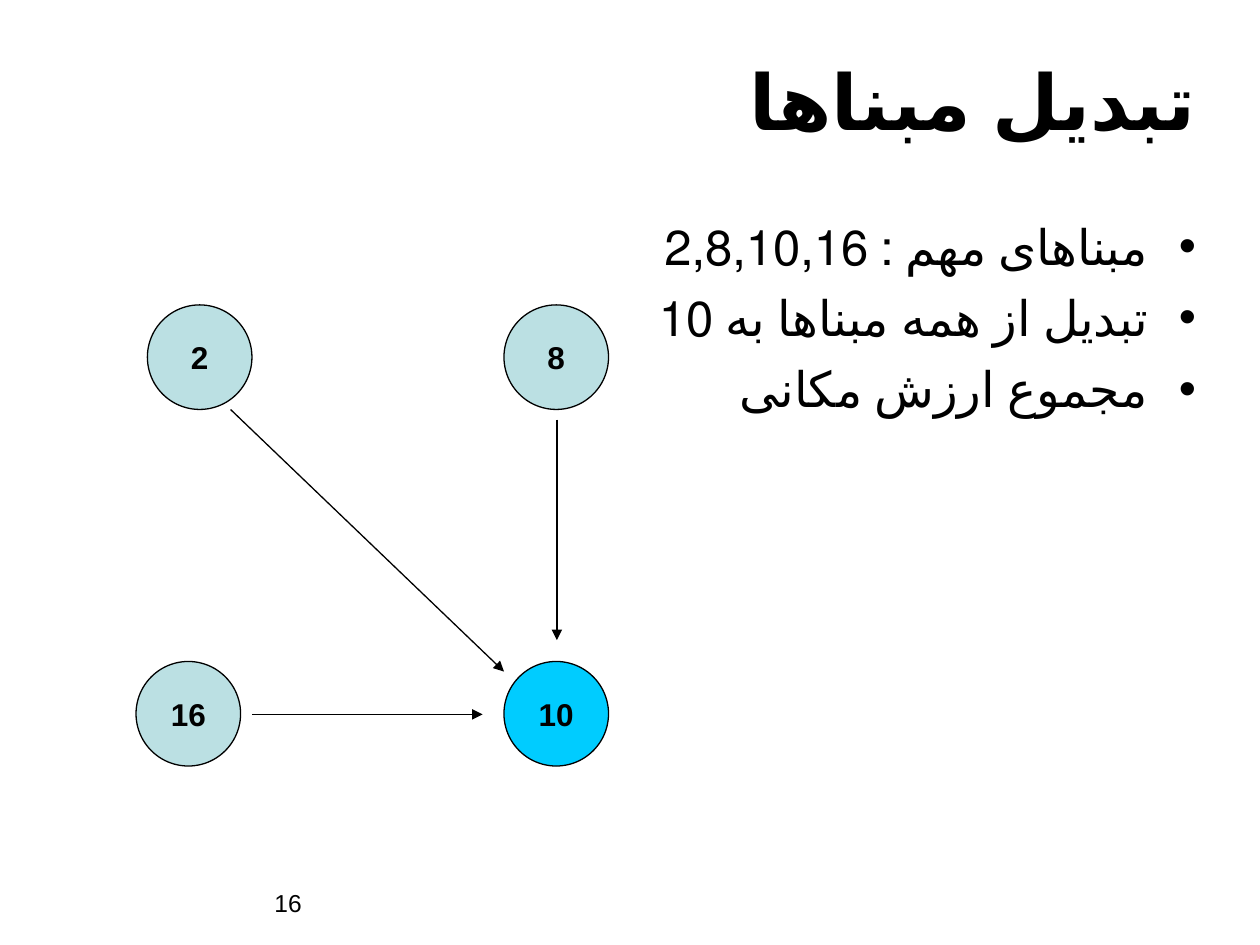
from dataclasses import dataclass

from pptx import Presentation
from pptx.dml.color import RGBColor
from pptx.enum.lang import MSO_LANGUAGE_ID
from pptx.enum.shapes import MSO_CONNECTOR, MSO_SHAPE
from pptx.enum.text import MSO_ANCHOR, MSO_AUTO_SIZE, PP_ALIGN
from pptx.oxml.ns import qn
from pptx.util import Inches, Pt


@dataclass(frozen=True)
class Theme:
    font: str = "Arial"
    ink: RGBColor = RGBColor(0x00, 0x00, 0x00)
    source_base: RGBColor = RGBColor(0xBB, 0xE0, 0xE3)
    target_base: RGBColor = RGBColor(0x00, 0xCC, 0xFF)
    title_size: Pt = Pt(44)
    bullet_size: Pt = Pt(28)
    base_size: Pt = Pt(18)
    number_size: Pt = Pt(14)
    bullet_gap: Pt = Pt(7)
    line_width: Pt = Pt(0.75)


THEME = Theme()
TITLE = "تبدیل مبناها"
BULLETS = ["مبناهای مهم : 2,8,10,16", "تبدیل از همه مبناها به 10", "مجموع ارزش مکانی"]
PAGE_NUMBER = "16"

LEFT, WIDTH = 1.92, 7.67
DIAMETER = 0.83
TOP_ROW, BOTTOM_ROW, RIGHT_COLUMN = 2.42, 5.25, 4
BASES = [
    ("2", 1.17, TOP_ROW, THEME.source_base),
    ("8", RIGHT_COLUMN, TOP_ROW, THEME.source_base),
    ("10", RIGHT_COLUMN, BOTTOM_ROW, THEME.target_base),
    ("16", 1.08, BOTTOM_ROW, THEME.source_base),
]
CONVERSIONS = [
    ((4.42, 3.33), (4.42, 5.08)),
    ((1.83, 3.25), (4, 5.33)),
    ((2, 5.67), (3.83, 5.67)),
]


def apply(target, values):
    for name, value in values.items():
        setattr(target, name, value)


def add_run(paragraph, text, size, bold=False, language=MSO_LANGUAGE_ID.ENGLISH_US):
    run = paragraph.add_run()
    run.text = text
    apply(run.font, {"name": THEME.font, "size": size, "bold": bold,
                     "language_id": language})
    run.font.color.rgb = THEME.ink


def add_persian(paragraph, text, size, bold=False):
    paragraph.alignment = PP_ALIGN.RIGHT
    paragraph._p.get_or_add_pPr().set("rtl", "1")
    add_run(paragraph, text, size, bold, MSO_LANGUAGE_ID.FARSI)


def add_bullet(paragraph):
    properties = paragraph._p.get_or_add_pPr()
    indent = Inches(0.38)
    properties.set("marL", str(indent))
    properties.set("indent", str(-indent))
    for tag, name, value in (("a:buFont", "typeface", THEME.font), ("a:buChar", "char", "•")):
        properties.append(properties.makeelement(qn(tag), {name: value}))


def set_title(slide):
    title = slide.shapes.title
    apply(title, {"left": Inches(LEFT), "top": Inches(0.33),
                  "width": Inches(WIDTH), "height": Inches(0.92)})
    apply(title.text_frame, {"vertical_anchor": MSO_ANCHOR.MIDDLE, "word_wrap": True,
                             "auto_size": MSO_AUTO_SIZE.NONE})
    add_persian(title.text_frame.paragraphs[0], TITLE, THEME.title_size, bold=True)


def add_text_frame(slide, left, top, width, height):
    box = slide.shapes.add_textbox(Inches(left), Inches(top), Inches(width), Inches(height))
    box.text_frame.word_wrap = True
    return box.text_frame


def add_bullets(slide):
    frame = add_text_frame(slide, LEFT, 1.67, WIDTH, 5.33)
    for index, text in enumerate(BULLETS):
        paragraph = frame.add_paragraph() if index else frame.paragraphs[0]
        add_bullet(paragraph)
        if index:
            paragraph.space_before = THEME.bullet_gap
        add_persian(paragraph, text, THEME.bullet_size)


def add_base(slide, label, left, top, color):
    circle = slide.shapes.add_shape(MSO_SHAPE.OVAL, Inches(left), Inches(top),
                                    Inches(DIAMETER), Inches(DIAMETER))
    circle.shadow.inherit = False
    circle.fill.solid()
    circle.fill.fore_color.rgb = color
    circle.line.color.rgb = THEME.ink
    circle.line.width = THEME.line_width
    apply(circle.text_frame, {"vertical_anchor": MSO_ANCHOR.MIDDLE, "word_wrap": False})
    paragraph = circle.text_frame.paragraphs[0]
    paragraph.alignment = PP_ALIGN.CENTER
    add_run(paragraph, label, THEME.base_size, bold=True)


def add_arrow(slide, start, end):
    arrow = slide.shapes.add_connector(MSO_CONNECTOR.STRAIGHT,
                                       *map(Inches, start), *map(Inches, end))
    arrow.line.color.rgb = THEME.ink
    arrow.line.width = THEME.line_width
    line = arrow.line._get_or_add_ln()
    line.append(line.makeelement(qn("a:tailEnd"), {"type": "triangle"}))
    properties = arrow._element.spPr
    properties.append(properties.makeelement(qn("a:effectLst"), {}))


def main():
    presentation = Presentation()
    apply(presentation, {"slide_width": Inches(10), "slide_height": Inches(7.5)})
    slide = presentation.slides.add_slide(presentation.slide_layouts[5])
    number = add_text_frame(slide, 2.08, 7, 1.5, 0.5)
    add_run(number.paragraphs[0], PAGE_NUMBER, THEME.number_size)
    set_title(slide)
    add_bullets(slide)
    for base in BASES:
        add_base(slide, *base)
    for start, end in CONVERSIONS:
        add_arrow(slide, start, end)
    presentation.save("out.pptx")


if __name__ == "__main__":
    main()
